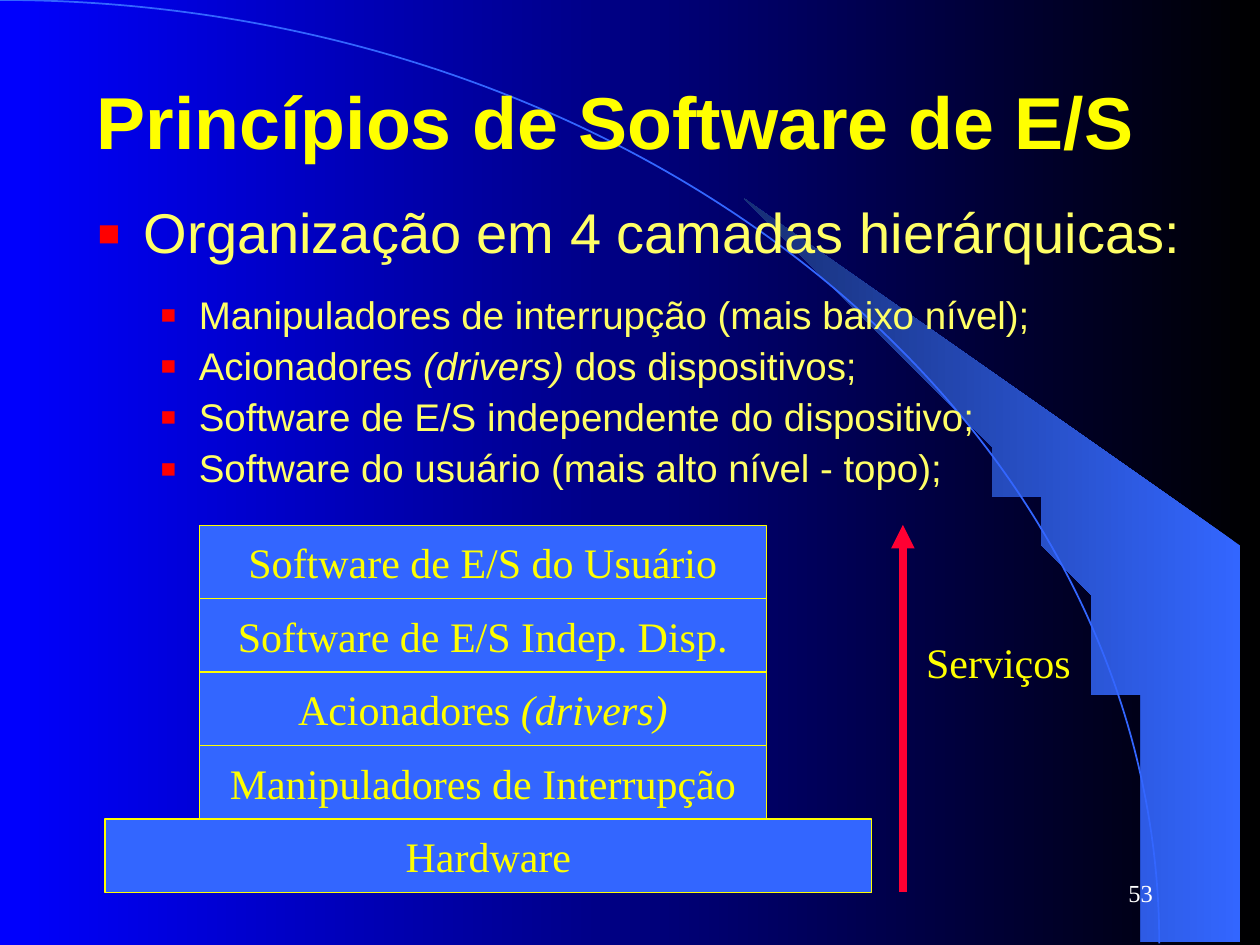
from math import cos, radians, sin

from lxml.etree import SubElement
from pptx import Presentation
from pptx.dml.color import RGBColor
from pptx.enum.shapes import MSO_CONNECTOR, MSO_SHAPE
from pptx.enum.text import MSO_ANCHOR as Anchor, PP_ALIGN as Align
from pptx.oxml.ns import qn
from pptx.util import Cm, Pt

COLORS = {
    "black": "000000",
    "blue": "0000FF",
    "sky": "3366FF",
    "navy": "172F75",
    "yellow": "FFFF00",
    "cream": "FFFF66",
    "bullet": "FF0000",
    "arrow": "FF0033",
    "white": "FFFFFF",
}
SANS, SERIF = "Arial", "Times New Roman"
ARC_WIDTH, ARC_HEIGHT = 23.37, 19.02
LAYER_HEIGHT, HARDWARE_TOP = 1.48, 16.51
LAYERS = [
    ["Hardware"],
    ["Manipuladores de Interrupção"],
    ["Acionadores", " (drivers)"],
    ["Software de E/S Indep. Disp."],
    ["Software de E/S do Usuário"],
]
TOPICS = [
    ["Manipuladores de interrupção (mais baixo nível);"],
    ["Acionadores", " (drivers)", " dos dispositivos;"],
    ["Software de E/S independente do dispositivo;"],
    ["Software do usuário (mais alto nível - topo);"],
]


def rgb(name):
    return RGBColor.from_string(COLORS[name])


def set_gradient(fill, start, end):
    fill.gradient()
    fill.gradient_angle = 180
    for stop, name in zip(fill.gradient_stops, (start, end)):
        stop.color.rgb = rgb(name)


def set_text(para, parts, font, size, color, align=Align.LEFT, bold=False):
    for index, part in enumerate(parts):
        span = para.add_run()
        span.text = part
        if index % 2:
            span.font.italic = True
    para.alignment = align
    para.font.name = font
    para.font.size = Pt(size)
    para.font.bold = bold
    para.font.color.rgb = rgb(color)


def add_bullet(para, margin, indent):
    properties = para._p.get_or_add_pPr()
    properties.set("marL", str(Cm(margin)))
    properties.set("indent", str(-Cm(indent)))
    color = SubElement(properties, qn("a:buClr"))
    SubElement(color, qn("a:srgbClr"), val=COLORS["bullet"])
    SubElement(properties, qn("a:buSzPct"), val="130000")
    SubElement(properties, qn("a:buFont"), typeface=SANS)
    SubElement(properties, qn("a:buChar"), char="▪")


def add_scenery(page):
    set_gradient(page.background.fill, "black", "blue")
    edge = [
        (ARC_WIDTH * sin(radians(angle)), ARC_HEIGHT * (1 - cos(radians(angle))))
        for angle in range(40, 91, 2)
    ]
    builder = page.shapes.build_freeform(*edge[0], scale=Cm(1))
    builder.add_line_segments(edge[1:] + [(25.37, ARC_HEIGHT), (25.37, 10.74)])
    wedge = builder.convert_to_shape()
    wedge.shadow.inherit = False
    set_gradient(wedge.fill, "sky", "navy")
    wedge.line.fill.background()

    arc = page.shapes.add_shape(
        MSO_SHAPE.ARC, Cm(-ARC_WIDTH), Cm(0), Cm(2 * ARC_WIDTH), Cm(2 * ARC_HEIGHT)
    )
    arc.shadow.inherit = False
    arc.fill.background()
    arc.line.color.rgb = rgb("sky")
    arc.line.width = Pt(1)


def add_title(page, text):
    title = page.shapes.title
    title.element.getparent().append(title.element)
    title.left, title.top, title.width, title.height = Cm(1.7), Cm(0.84), Cm(22.86), Cm(3.18)
    title.text_frame.vertical_anchor = Anchor.MIDDLE
    set_text(title.text_frame.paragraphs[0], [text], SANS, 42, "yellow", bold=True)


def add_box(page, left, top, width, height, wrap=True):
    box = page.shapes.add_textbox(Cm(left), Cm(top), Cm(width), Cm(height))
    box.text_frame.word_wrap = wrap
    return box.text_frame


def add_outline(page, heading, topics):
    frame = add_box(page, 1.7, 4.02, 22.86, 6.35)
    para = frame.paragraphs[0]
    add_bullet(para, 0.95, 0.95)
    para.line_spacing = 0.9
    set_text(para, [heading], SANS, 32, "cream", Align.JUSTIFY)
    for index, parts in enumerate(topics):
        para = frame.add_paragraph()
        para.level = 1
        add_bullet(para, 2.06, 0.79)
        para.line_spacing = 0.9
        para.space_before = Pt(5.5 if index else 17)
        set_text(para, parts, SANS, 22, "cream", Align.JUSTIFY)


def add_layer(page, parts, left, top, width):
    layer = page.shapes.add_shape(
        MSO_SHAPE.RECTANGLE, Cm(left), Cm(top), Cm(width), Cm(LAYER_HEIGHT)
    )
    layer.shadow.inherit = False
    layer.fill.solid()
    layer.fill.fore_color.rgb = rgb("sky")
    layer.line.color.rgb = rgb("yellow")
    layer.line.width = Pt(0.75)
    layer.text_frame.word_wrap = False
    layer.text_frame.vertical_anchor = Anchor.MIDDLE
    set_text(layer.text_frame.paragraphs[0], parts, SERIF, 24, "yellow", Align.CENTER)


def add_stack(page):
    for level, parts in enumerate(LAYERS):
        left, width = (4.02, 11.43) if level else (2.12, 15.45)
        add_layer(page, parts, left, HARDWARE_TOP - level * LAYER_HEIGHT, width)


def add_arrow(page, x, top, bottom):
    arrow = page.shapes.add_connector(
        MSO_CONNECTOR.STRAIGHT, Cm(x), Cm(top), Cm(x), Cm(bottom)
    )
    arrow.line.color.rgb = rgb("arrow")
    arrow.line.width = Pt(4.5)
    SubElement(arrow.get_or_add_ln(), qn("a:headEnd"), type="triangle")
    SubElement(arrow.element.spPr, qn("a:effectLst"))


def main():
    deck = Presentation()
    deck.slide_width, deck.slide_height = Cm(25.4), Cm(19.05)
    page = deck.slides.add_slide(deck.slide_layouts[5])
    add_scenery(page)
    add_title(page, "Princípios de Software de E/S")
    add_outline(page, "Organização em 4 camadas hierárquicas:", TOPICS)
    add_stack(page)
    add_arrow(page, 18.2, 10.58, 17.99)
    label = add_box(page, 18.42, 12.7, 3.43, 1.27, wrap=False)
    set_text(label.paragraphs[0], ["Serviços"], SERIF, 24, "yellow")
    number = add_box(page, 18.2, 17.36, 5.29, 1.27)
    number.vertical_anchor = Anchor.MIDDLE
    set_text(number.paragraphs[0], ["53"], SERIF, 14, "white", Align.RIGHT)
    deck.save("out.pptx")


if __name__ == "__main__":
    main()
